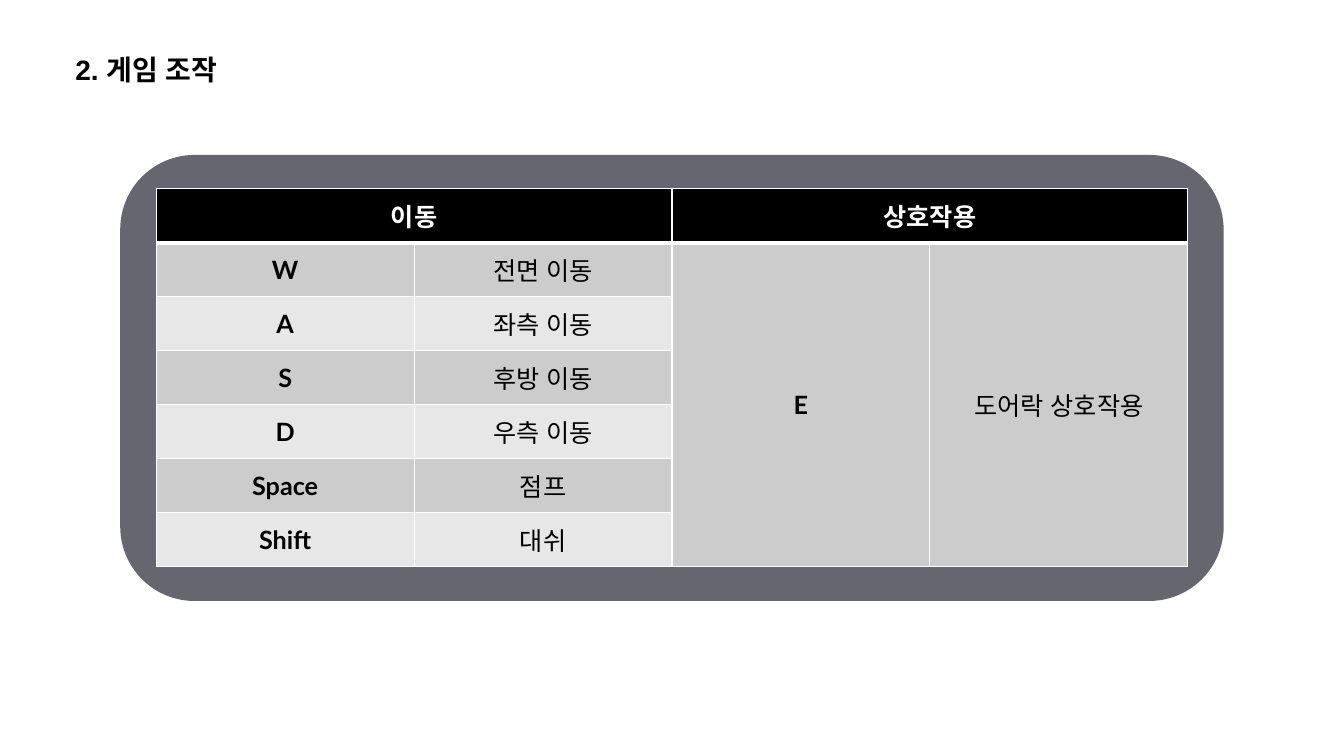
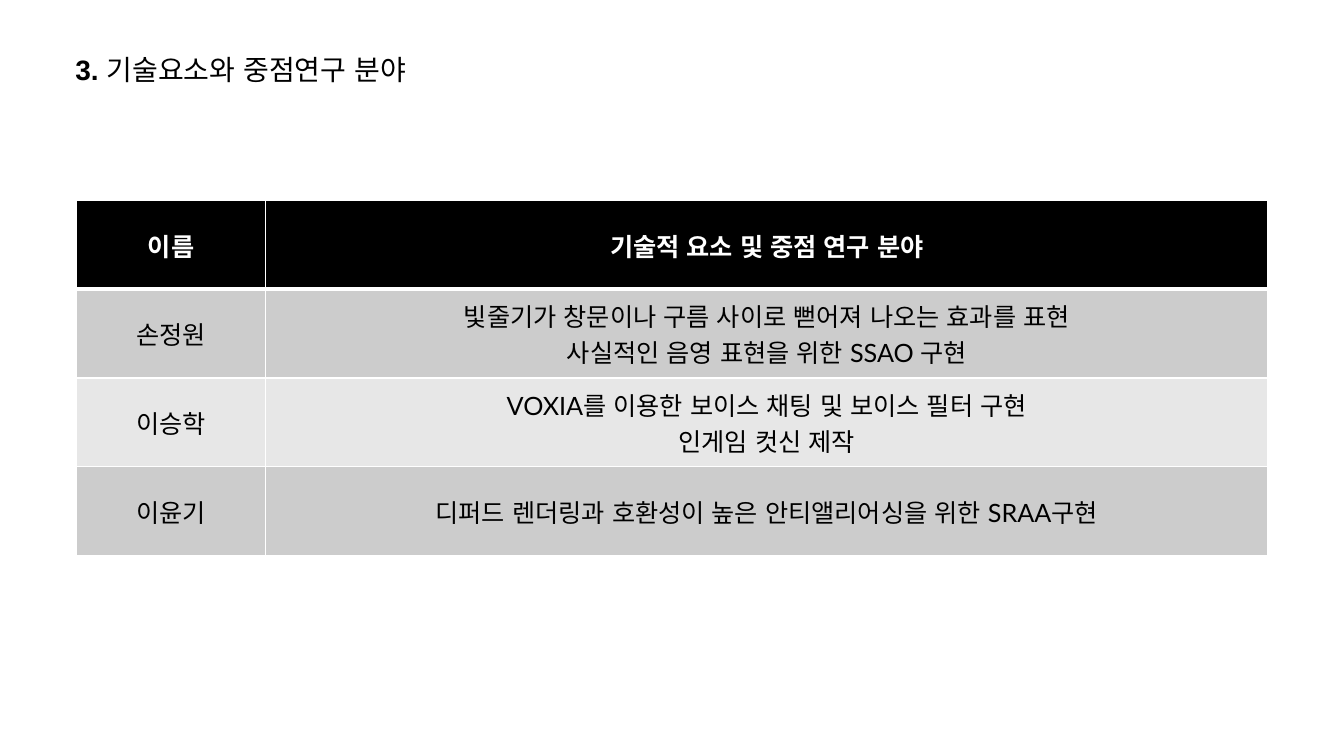
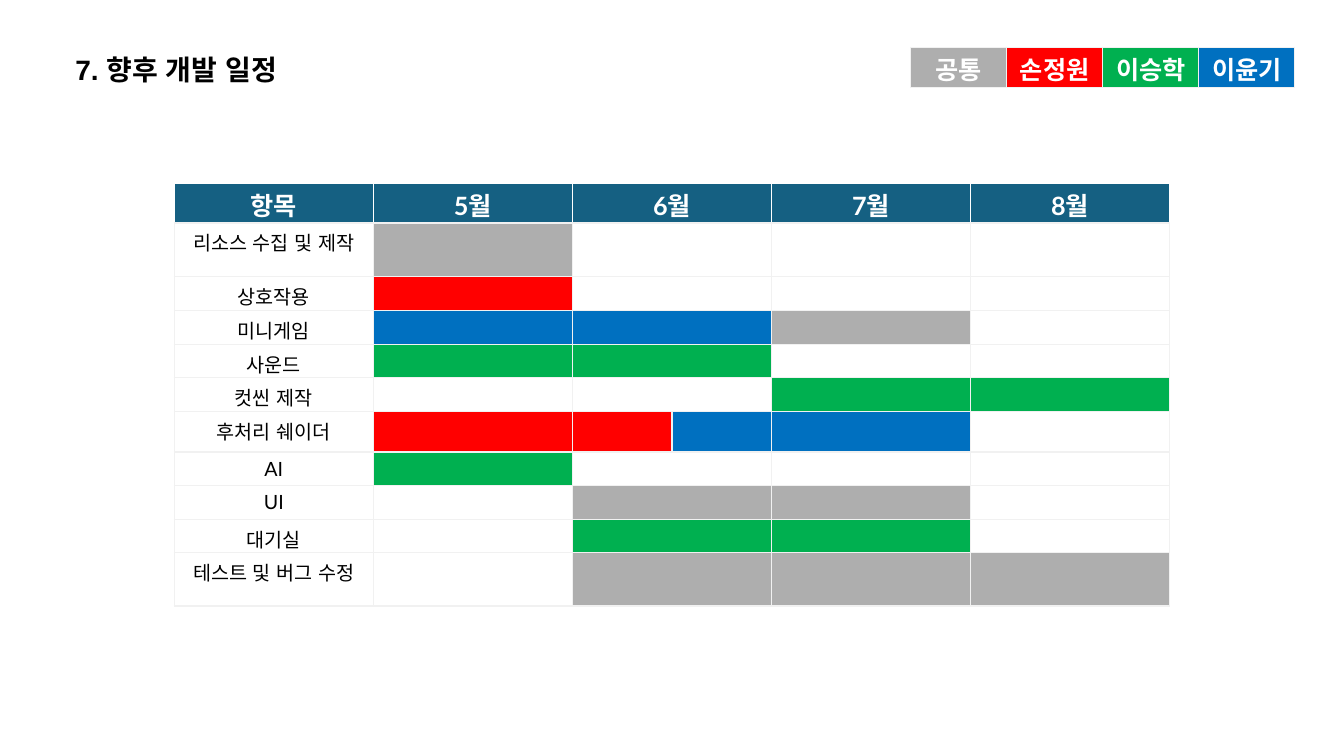
"""Build three slides on a game project: controls, research topics and schedule."""
from dataclasses import dataclass

import lxml.etree
import pptx
import pptx.dml.color
import pptx.enum.lang
import pptx.enum.shapes
import pptx.enum.text
import pptx.oxml.ns
import pptx.presentation
import pptx.slide
import pptx.table
import pptx.util

Pt = pptx.util.Pt
BLACK, WHITE = "000000", "FFFFFF"
DARK_BAND, LIGHT_BAND = "CCCCCC", "E7E7E7"
PANEL, HEADER_BLUE, GRID_LINE = "666671", "156082", "F1F1F1"
HEADING_FONT, BODY_FONT = "Arial", "Lato"
KOREAN = pptx.enum.lang.MSO_LANGUAGE_ID.KOREAN
MIDDLE = pptx.enum.text.MSO_ANCHOR.MIDDLE
TOP = pptx.enum.text.MSO_ANCHOR.TOP

OWNERS = {
    "C": ("공통", "AEAEAE"),
    "S": ("손정원", "FF0000"),
    "H": ("이승학", "00B050"),
    "Y": ("이윤기", "0070C0"),
}
MOVES = [
    ("W", "전면 이동"),
    ("A", "좌측 이동"),
    ("S", "후방 이동"),
    ("D", "우측 이동"),
    ("Space", "점프"),
    ("Shift", "대쉬"),
]
TOPICS = [
    ("손정원", "빛줄기가 창문이나 구름 사이로 뻗어져 나오는 효과를 표현\n사실적인 음영 표현을 위한 SSAO 구현"),
    ("이승학", "VOXIA를 이용한 보이스 채팅 및 보이스 필터 구현\n인게임 컷신 제작"),
    ("이윤기", "디퍼드 렌더링과 호환성이 높은 안티앨리어싱을 위한 SRAA구현"),
]
TASKS = [
    ("리소스 수집 및 제작", "C----", 38.5),
    ("상호작용", "S----", 24),
    ("미니게임", "YYYC-", 24),
    ("사운드", "HHH--", 24),
    ("컷씬 제작", "---HH", 24),
    ("후처리 쉐이더", "SSYY-", 29),
    ("AI", "H----", 24),
    ("UI", "-CCC-", 24),
    ("대기실", "-HHH-", 24),
    ("테스트 및 버그 수정", "-CCCC", 38),
]


@dataclass(frozen=True)
class Cell:
    """One table cell with its look and its span."""
    text: str = ""
    fill: str = WHITE
    color: str = BLACK
    bold: bool = False
    size: float = 18
    rows: int = 1
    columns: int = 1


@dataclass(frozen=True)
class Grid:
    """A table; None marks a cell that a span covers."""
    left: float
    top: float
    widths: list[float]
    heights: list[float]
    cells: list[list[Cell | None]]
    line: str = WHITE
    header_line: str = WHITE
    header_rule: float = 1
    anchor: pptx.enum.text.MSO_ANCHOR = TOP


def rgb(value: str) -> pptx.dml.color.RGBColor:
    """Turn a hex string into a colour."""
    return pptx.dml.color.RGBColor.from_string(value)


def style_span(span, font: str, size: float, color: str, bold: bool) -> None:
    """Format one run."""
    span.font.name = font
    span.font.size = Pt(size)
    span.font.bold = bold
    span.font.color.rgb = rgb(color)
    span.font.language_id = KOREAN


def add_page(deck: pptx.presentation.Presentation, number: str, subject: str,
             font: str = HEADING_FONT, bold: bool = True) -> pptx.slide.Slide:
    """Add a slide with its numbered title."""
    page = deck.slides.add_slide(deck.slide_layouts[5])
    box = page.shapes.title
    box.left, box.top, box.width, box.height = Pt(46.6), Pt(33.8), Pt(300), Pt(31.7)
    frame = box.text_frame
    frame.text = number
    frame.word_wrap = True
    frame.vertical_anchor = TOP
    frame.auto_size = pptx.enum.text.MSO_AUTO_SIZE.NONE
    para = frame.paragraphs[0]
    para.alignment = pptx.enum.text.PP_ALIGN.LEFT
    style_span(para.runs[0], HEADING_FONT, 20, BLACK, True)
    span = para.add_run()
    span.text = subject
    style_span(span, font, 20, BLACK, bold)
    return page


def set_borders(slot: pptx.table._Cell, edges: dict[str, tuple[str, float]]) -> None:
    """Draw the four edges of a cell."""
    properties = slot._tc.get_or_add_tcPr()
    qn = pptx.oxml.ns.qn
    for index, (side, (color, width)) in enumerate(edges.items()):
        line = lxml.etree.Element(qn(f"a:ln{side}"), w=str(Pt(width)))
        solid = lxml.etree.SubElement(line, qn("a:solidFill"))
        lxml.etree.SubElement(solid, qn("a:srgbClr"), val=color)
        properties.insert(index, line)


def fill_cell(slot: pptx.table._Cell, cell: Cell,
              anchor: pptx.enum.text.MSO_ANCHOR) -> None:
    """Put the text and fill of a cell in place."""
    slot.fill.solid()
    slot.fill.fore_color.rgb = rgb(cell.fill)
    slot.vertical_anchor = anchor
    if not cell.text:
        slot.margin_top = slot.margin_bottom = Pt(0)
        return
    if anchor == TOP:
        slot.margin_top = Pt(2.2 if cell.size == 18 else 3.6)
        slot.margin_bottom = Pt(0)
    slot.text_frame.text = cell.text
    for para in slot.text_frame.paragraphs:
        para.alignment = pptx.enum.text.PP_ALIGN.CENTER
        for span in para.runs:
            style_span(span, BODY_FONT, cell.size, cell.color, cell.bold)


def add_grid(page: pptx.slide.Slide, grid: Grid) -> None:
    """Draw a table."""
    table = page.shapes.add_table(
        len(grid.heights), len(grid.widths), Pt(grid.left), Pt(grid.top),
        Pt(sum(grid.widths)), Pt(sum(grid.heights))).table
    table.first_row = table.horz_banding = False
    for column, width in zip(table.columns, grid.widths):
        column.width = Pt(width)
    for row, height in zip(table.rows, grid.heights):
        row.height = Pt(height)
    rule = (grid.line, grid.header_rule)
    for r, row in enumerate(grid.cells):
        side = (grid.header_line if r == 0 else grid.line, 1)
        edges = {"L": side, "R": side, "T": rule if r == 1 else side,
                 "B": rule if r == 0 else side}
        for c, cell in enumerate(row):
            slot = table.cell(r, c)
            fill_cell(slot, cell or Cell(), grid.anchor)
            set_borders(slot, edges)
            if cell and cell.rows * cell.columns > 1:
                slot.merge(table.cell(r + cell.rows - 1, c + cell.columns - 1))


def header(text: str, fill: str = BLACK, columns: int = 1) -> Cell:
    """Make a bold white cell."""
    return Cell(text, fill, WHITE, True, columns=columns)


def band(index: int) -> str:
    """Give the fill of a body row."""
    return LIGHT_BAND if index % 2 else DARK_BAND


def schedule_row(task: str, codes: str) -> list[Cell | None]:
    """Make a schedule row, joining the halves of June unless they differ."""
    bars = [Cell(fill=OWNERS[code][1] if code in OWNERS else WHITE) for code in codes]
    row = [Cell(task, size=14), *bars]
    if codes[1] == codes[2]:
        row[2:4] = [Cell(fill=bars[1].fill, columns=2), None]
    return row


def add_controls(deck: pptx.presentation.Presentation) -> None:
    """Add the slide on game controls."""
    page = add_page(deck, "2. ", "게임 조작")
    panel = page.shapes.add_shape(
        pptx.enum.shapes.MSO_SHAPE.ROUNDED_RECTANGLE, Pt(85.9), Pt(110.7), Pt(788.2), Pt(318.6))
    panel.shadow.inherit = False
    panel.fill.solid()
    panel.fill.fore_color.rgb = rgb(PANEL)
    panel.line.fill.background()
    rows = [[header("이동", columns=2), None, header("상호작용", columns=2), None]]
    for index, (key, action) in enumerate(MOVES):
        rows.append([Cell(key, band(index), bold=True), Cell(action, band(index)), None, None])
    rows[1][2:] = [Cell("E", DARK_BAND, bold=True, rows=len(MOVES)),
                   Cell("도어락 상호작용", DARK_BAND, rows=len(MOVES))]
    add_grid(page, Grid(111.6, 134.8, [184.2] * 4, [38.57] * len(rows), rows,
                        header_rule=3, anchor=MIDDLE))


def add_topics(deck: pptx.presentation.Presentation) -> None:
    """Add the slide on research topics."""
    page = add_page(deck, "3. ", "기술요소와 중점연구 분야", BODY_FONT, False)
    rows = [[header("이름"), header("기술적 요소 및 중점 연구 분야")]]
    rows += [[Cell(text, band(index)) for text in topic] for index, topic in enumerate(TOPICS)]
    add_grid(page, Grid(54.7, 143.3, [135, 716], [63.4] * len(rows), rows,
                        header_rule=3, anchor=MIDDLE))


def add_schedule(deck: pptx.presentation.Presentation) -> None:
    """Add the slide on the schedule."""
    page = add_page(deck, "7. ", "향후 개발 일정")
    month = 142.2
    top_row = [header(text, HEADER_BLUE) for text in ("항목", "5월", "7월", "8월")]
    top_row[2:2] = [header("6월", HEADER_BLUE, 2), None]
    rows = [top_row] + [schedule_row(task, codes) for task, codes, _ in TASKS]
    heights = [28.2] + [height for _, _, height in TASKS]
    widths = [month, month, month / 2, month / 2, month, month]
    add_grid(page, Grid(124.5, 131, widths, heights, rows, GRID_LINE))
    legend = [header(name, color) for name, color in OWNERS.values()]
    add_grid(page, Grid(650.5, 33.8, [68.6] * len(legend), [28.5], [legend],
                        GRID_LINE, GRID_LINE))


def main() -> None:
    """Build and save the deck."""
    deck = pptx.Presentation()
    deck.slide_width, deck.slide_height = Pt(960), Pt(540)
    add_controls(deck)
    add_topics(deck)
    add_schedule(deck)
    deck.save("out.pptx")


if __name__ == "__main__":
    main()
